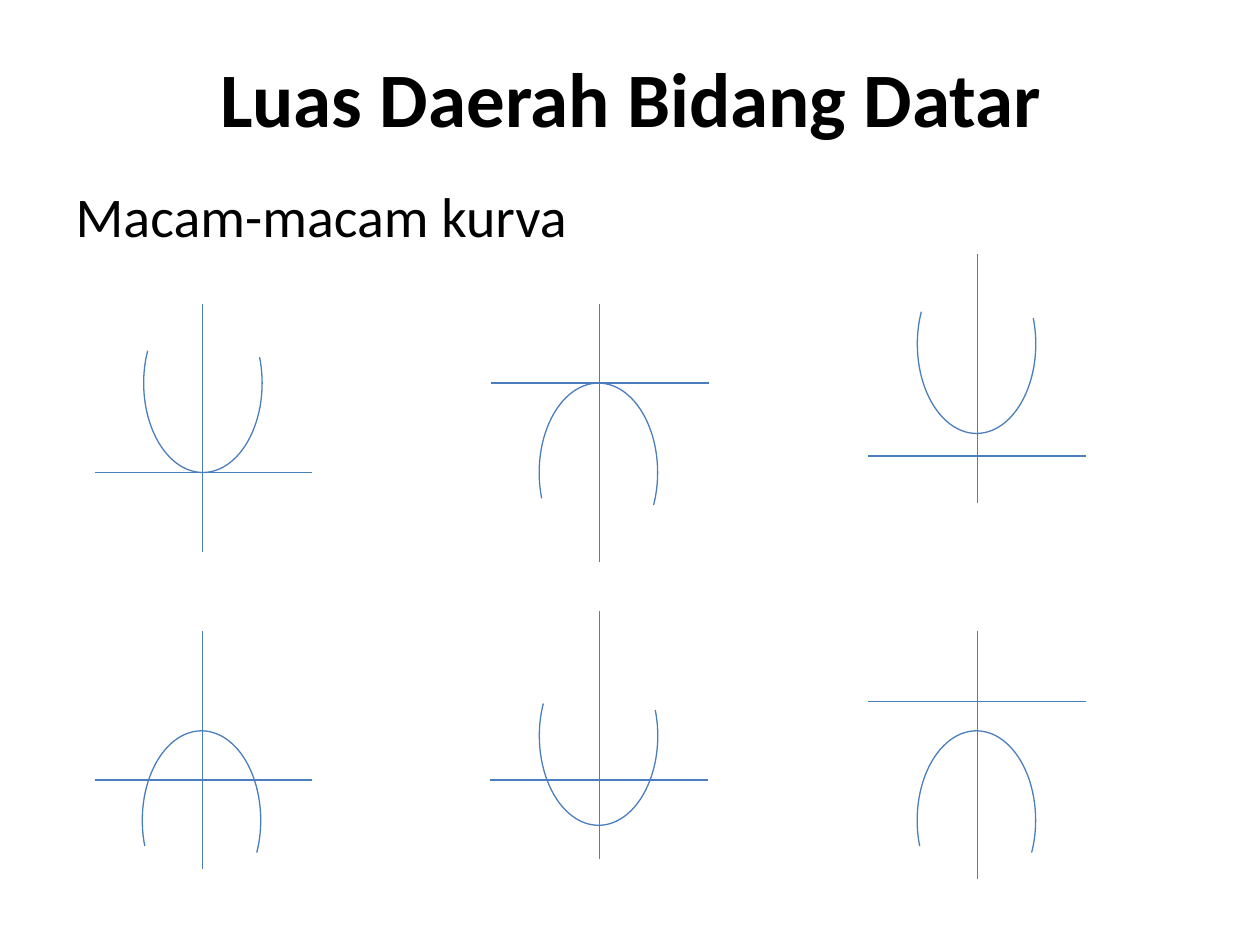
"""Build a slide of six parabola sketches on crossed axes."""
from collections import namedtuple

from lxml.etree import SubElement
from pptx import Presentation
from pptx.dml.color import RGBColor as Rgb
from pptx.enum.shapes import MSO_CONNECTOR as Link, MSO_SHAPE as Kind
from pptx.enum.text import MSO_ANCHOR as Anchor, PP_ALIGN as Align
from pptx.oxml.ns import qn
from pptx.util import Inches, Pt

Theme = namedtuple("Theme", "font ink line head body width")
theme = Theme("Calibri", Rgb(0, 0, 0), Rgb(0x4B, 0x7E, 0xBC), 44, 32, 0.75)


def write(shape, text, box, size, bold=False, align=Align.LEFT, anchor=Anchor.TOP):
    shape.left, shape.top, shape.width, shape.height = map(Inches, box)
    frame = shape.text_frame
    frame.word_wrap = True
    frame.vertical_anchor = anchor
    frame.text = text
    para = frame.paragraphs[0]
    props = para._p.get_or_add_pPr()
    props.set("marL", "0")
    props.set("indent", "0")
    SubElement(props, qn("a:buNone"))
    para.alignment = align
    para.space_before = Pt(0)
    font = para.runs[0].font
    font.name, font.size, font.bold = theme.font, Pt(size), bold
    font.color.rgb = theme.ink


def draw(shape):
    shape.line.color.rgb = theme.line
    shape.line.width = Pt(theme.width)


deck = Presentation()
deck.slide_width, deck.slide_height = Inches(10), Inches(7.5)
slide = deck.slides.add_slide(deck.slide_layouts[1])
title, body = slide.placeholders
write(title, "Luas Daerah Bidang Datar", (0.51, 0.14, 9, 1.25), theme.head,
      bold=True, align=Align.CENTER, anchor=Anchor.MIDDLE)
write(body, "Macam-macam kurva", (0.5, 1.39, 9.22, 5.75), theme.body)

Plot = namedtuple("Plot", "left mid top end level curve peak opens")
plots = [
    Plot(0.75, 1.61, 2.41, 4.38, 3.75, 1.14, 2.33, True),
    Plot(3.9, 4.76, 2.41, 4.46, 3.04, 4.28, 3.04, False),
    Plot(6.89, 7.76, 2.02, 3.99, 3.62, 7.28, 2.02, True),
    Plot(0.75, 1.61, 5.01, 6.9, 6.19, 1.13, 5.8, False),
    Plot(3.89, 4.76, 4.85, 6.82, 6.19, 4.28, 5.13, True),
    Plot(6.89, 7.76, 5.01, 6.98, 5.57, 7.28, 5.8, False),
]
span, wide, tall = 1.73, 0.94, 1.42

for plot in plots:
    group = slide.shapes.add_group_shape()
    axes = [
        (plot.mid, plot.top, plot.mid, plot.end),
        (plot.left, plot.level, plot.left + span, plot.level),
    ]
    for ends in axes:
        axis = group.shapes.add_connector(Link.STRAIGHT, *map(Inches, ends))
        draw(axis)
        SubElement(axis._element.spPr, qn("a:effectLst"))
    box = map(Inches, (plot.curve, plot.peak, wide, tall))
    arc = group.shapes.add_shape(Kind.ARC, *box)
    arc.adjustments[0], arc.adjustments[1] = 93.3, 18.21
    arc.rotation = 180 if plot.opens else 0
    arc.fill.background()
    arc.shadow.inherit = False
    draw(arc)

deck.save("out.pptx")
